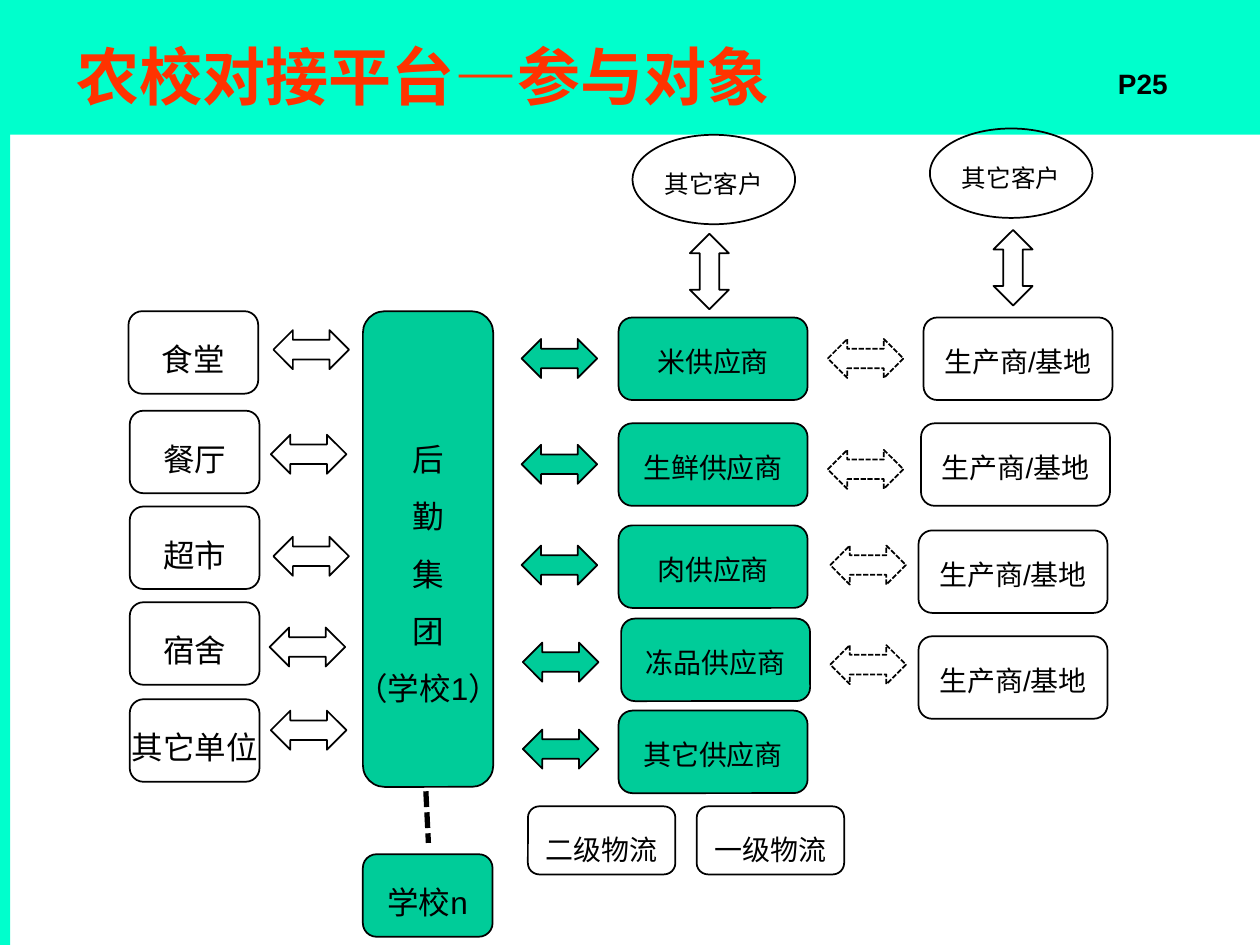
from dataclasses import dataclass

from lxml import etree
from pptx import Presentation, util as u
from pptx.dml.color import RGBColor
from pptx.enum import dml, shapes, text
from pptx.oxml.ns import qn


@dataclass(frozen=True)
class Theme:
    font: str = "Arial"
    band: str = "00FFCC"
    green: str = "00CC99"
    title: str = "FF3300"
    ink: str = "000000"
    title_size: int = 36
    large: int = 18
    medium: int = 16
    small: int = 14


theme = Theme()
presentation = Presentation()
presentation.slide_width, presentation.slide_height = u.Inches(10), u.Inches(7.5)
slide = presentation.slides.add_slide(presentation.slide_layouts[6])

# The slide is a grid of 100 columns and 75 rows of square cells.
column = presentation.slide_width / 100
row = presentation.slide_height / 75
kind = shapes.MSO_SHAPE


def write(shape, content, size=theme.large, color=theme.ink, bold=False, spacing=1.5,
          align=text.PP_ALIGN.CENTER, anchor=text.MSO_ANCHOR.TOP, wrap=False, before=0, top=0.5):
    """Fill a shape with one paragraph per line; top is the upper inset in rows."""
    frame = shape.text_frame
    frame.word_wrap = wrap
    frame.vertical_anchor = anchor
    frame.margin_top = round(top * row)
    for index, line in enumerate(content.split("\n")):
        paragraph = frame.add_paragraph() if index else frame.paragraphs[0]
        paragraph.alignment = align
        paragraph.line_spacing = spacing
        paragraph.space_before = u.Pt(before if index else 0)
        run = paragraph.add_run()
        run.text = line
        run.font.name, run.font.size, run.font.bold = theme.font, u.Pt(size), bold
        run.font.color.rgb = RGBColor.from_string(color)


def draw(preset, left, top, width, height, fill=None, outlined=True, dashed=False):
    """Add a preset shape placed in grid cells."""
    shape = slide.shapes.add_shape(
        preset, round(left * column), round(top * row), round(width * column), round(height * row))
    shape.shadow.inherit = False
    if fill:
        shape.fill.solid()
        shape.fill.fore_color.rgb = RGBColor.from_string(fill)
    else:
        shape.fill.background()
    if outlined:
        shape.line.color.rgb = RGBColor.from_string(theme.ink)
        shape.line.width = u.Pt(1)
        if dashed:
            shape.line.dash_style = dml.MSO_LINE.SQUARE_DOT
    else:
        shape.line.fill.background()
    return shape


# Header and side band
draw(kind.RECTANGLE, 0.8, 0, 99.2, 10.7, theme.band, outlined=False)
draw(kind.RECTANGLE, 0, 0, 0.8, 75, theme.band, outlined=False)
title = slide.shapes.add_textbox(*(round(cells * column) for cells in (5.1, 1.5, 79.8, 8.9)))
write(title, "农校对接平台—参与对象", size=theme.title_size, color=theme.title, bold=True,
      spacing=1, align=text.PP_ALIGN.LEFT, anchor=text.MSO_ANCHOR.MIDDLE, wrap=True)
page = slide.shapes.add_textbox(*(round(cells * column) for cells in (86.7, 4.8, 8, 3.7)))
write(page, "P25", size=theme.medium, bold=True, spacing=1, wrap=True)

# Labelled boxes: width, height, size, fill, then (label, left, top) for each
box_groups = [
    (10.3, 6.55, theme.large, None, [
        ("食堂", 10.2, 24.7), ("餐厅", 10.3, 32.6), ("超市", 10.3, 40.2),
        ("宿舍", 10.3, 47.8), ("其它单位", 10.3, 55.5)]),
    (15, 6.55, theme.medium, theme.green, [
        ("米供应商", 49.1, 25.2), ("生鲜供应商", 49.1, 33.6), ("肉供应商", 49.1, 41.7),
        ("冻品供应商", 49.3, 49.1), ("其它供应商", 49.1, 56.4)]),
    (15, 6.55, theme.medium, None, [
        ("生产商/基地", left, top)
        for left, top in ((73.3, 25.2), (73.1, 33.6), (72.9, 42.1), (72.9, 50.5))]),
    (11.7, 5.4, theme.medium, None, [("二级物流", 41.9, 64), ("一级物流", 55.3, 64)]),
    (10.3, 6.55, theme.large, theme.green, [("学校n", 28.8, 67.8)]),
]
for width, height, size, fill, boxes in box_groups:
    for label, left, top in boxes:
        write(draw(kind.ROUNDED_RECTANGLE, left, top, width, height, fill), label, size=size)

logistics_group = draw(kind.ROUNDED_RECTANGLE, 28.8, 24.7, 10.35, 37.75, theme.green)
write(logistics_group, "后\n勤\n集\n团\n（学校1）", spacing=1, before=11.2, top=9.7)

for left, top in ((50.2, 10.7), (73.8, 10.2)):
    write(draw(kind.OVAL, left, top, 12.9, 7.1), "其它客户", size=theme.small)

# Two-way arrows: fill, dashed, rotation, then (left, top) for each
arrow_groups = [
    (None, False, 0, [(21.7, 26.2), (21.5, 34.5), (21.7, 42.6), (21.4, 49.8), (21.5, 56.4)]),
    (theme.green, False, 0,
     [(41.4, 26.9), (41.4, 35.3), (41.4, 43.3), (41.5, 51), (41.5, 57.9)]),
    (None, True, 0, [(65.7, 26.9), (65.7, 35.7), (65.9, 43.3), (65.9, 51.2)]),
    (None, False, 90, [(53.3, 20), (77.4, 19.7)]),
]
for fill, dashed, rotation, places in arrow_groups:
    for left, top in places:
        arrow = draw(kind.LEFT_RIGHT_ARROW, left, top, 6, 3.1, fill, dashed=dashed)
        arrow.rotation = rotation

# Dashed link from the first school to the n-th
link = slide.shapes.add_connector(
    shapes.MSO_CONNECTOR.STRAIGHT,
    round(33.8 * column), round(62.8 * row), round(34 * column), round(66.9 * row))
link.line.color.rgb = RGBColor.from_string(theme.ink)
link.line.width = u.Pt(3)
link.line.dash_style = dml.MSO_LINE.SQUARE_DOT
etree.SubElement(link.element.spPr, qn("a:effectLst"))

presentation.save("out.pptx")
